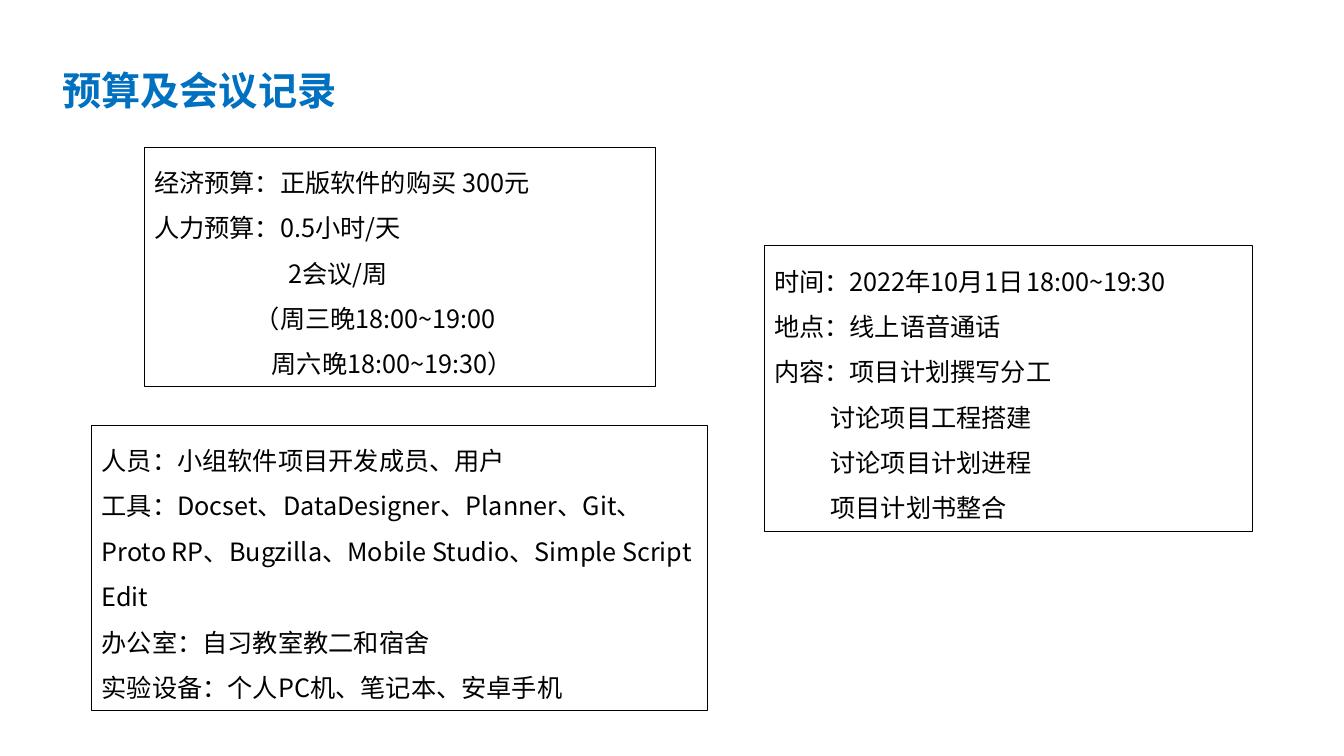
from lxml import etree
from pptx import Presentation, util as u
from pptx.dml.color import RGBColor
from pptx.enum import text
from pptx.oxml.ns import qn


def colour(code):
    return RGBColor.from_string(code)


class Page:
    """One slide, measured on a grid of 100 columns by 100 rows."""

    font = "Noto Sans CJK SC"
    ink, accent, paper = "000000", "0070C0", "FFFFFF"

    def __init__(self, deck):
        self.slide = deck.slides.add_slide(deck.slide_layouts[6])
        self.column = deck.slide_width / 100
        self.row = deck.slide_height / 100

    def columns(self, count):
        return u.Emu(round(count * self.column))

    def rows(self, count):
        return u.Emu(round(count * self.row))

    def box(self, left, top, width, height):
        box = self.slide.shapes.add_textbox(
            self.columns(left), self.rows(top),
            self.columns(width), self.rows(height))
        box.text_frame.word_wrap = True
        return box

    def span(self, para, words, size, code, bold=False):
        span = para.add_run()
        span.text = words
        span.font.size = u.Pt(size)
        span.font.bold = bold
        span.font.color.rgb = colour(code)
        span.font.name = self.font
        east_asian = etree.SubElement(span.font._element, qn("a:ea"))
        east_asian.set("typeface", self.font)

    def title(self, words, *place):
        box = self.box(*place)
        box.fill.solid()
        box.fill.fore_color.rgb = colour(self.paper)
        box.text_frame.vertical_anchor = text.MSO_ANCHOR.MIDDLE
        self.span(box.text_frame.paragraphs[0], words, 28, self.accent, True)

    def note(self, lines, *place, tab=None):
        """Outlined box; each line is an indent in columns and its words."""
        box = self.box(*place)
        box.line.color.rgb = colour(self.ink)
        box.line.width = u.Pt(0.75)
        frame = box.text_frame
        frame.auto_size = text.MSO_AUTO_SIZE.SHAPE_TO_FIT_TEXT
        for number, (indent, words) in enumerate(lines):
            para = frame.add_paragraph() if number else frame.paragraphs[0]
            self.layout(para, indent, tab if "\t" in words else None)
            para.line_spacing = 1.5
            self.span(para, words, 18, self.ink)

    def layout(self, para, indent, tab):
        """Set the left margin and an optional tab stop, in columns."""
        settings = para._p.get_or_add_pPr()
        settings.set("marL", str(self.columns(indent)))
        settings.set("indent", "0")
        if tab:
            stops = etree.SubElement(settings, qn("a:tabLst"))
            etree.SubElement(stops, qn("a:tab"),
                             pos=str(self.columns(tab)), algn="l")


BUDGET = [
    (0, "经济预算：正版软件的购买 300元"),
    (0, "人力预算：0.5小时/天"),
    (10, "2会议/周"),
    (7.5, "（周三晚18:00~19:00"),
    (8.75, "周六晚18:00~19:30）"),
]
MEETING = [
    (0, "时间：2022年10月1日\t18:00~19:30"),
    (0, "地点：线上语音通话"),
    (0, "内容：项目计划撰写分工"),
    (4.2, "讨论项目工程搭建"),
    (4.2, "讨论项目计划进程"),
    (4.2, "项目计划书整合"),
]
RESOURCES = [
    (0, "人员：小组软件项目开发成员、用户"),
    (0, "工具：Docset、DataDesigner、Planner、Git、"
        "Proto RP、Bugzilla、Mobile Studio、Simple Script Edit"),
    (0, "办公室：自习教室教二和宿舍"),
    (0, "实验设备：个人PC机、笔记本、安卓手机"),
]


def main():
    deck = Presentation()
    deck.slide_width, deck.slide_height = u.Inches(13.33), u.Inches(7.5)
    page = Page(deck)
    page.title("预算及会议记录", 3.9, 6.4, 28.2, 10.93)
    page.note(BUDGET, 10.73, 19.47, 38.03, 31.6)
    page.note(MEETING, 56.86, 32.53, 36.31, 37.73, tab=22.35)
    page.note(RESOURCES, 6.83, 56.27, 45.84, 37.73)
    deck.save("out.pptx")


if __name__ == "__main__":
    main()
